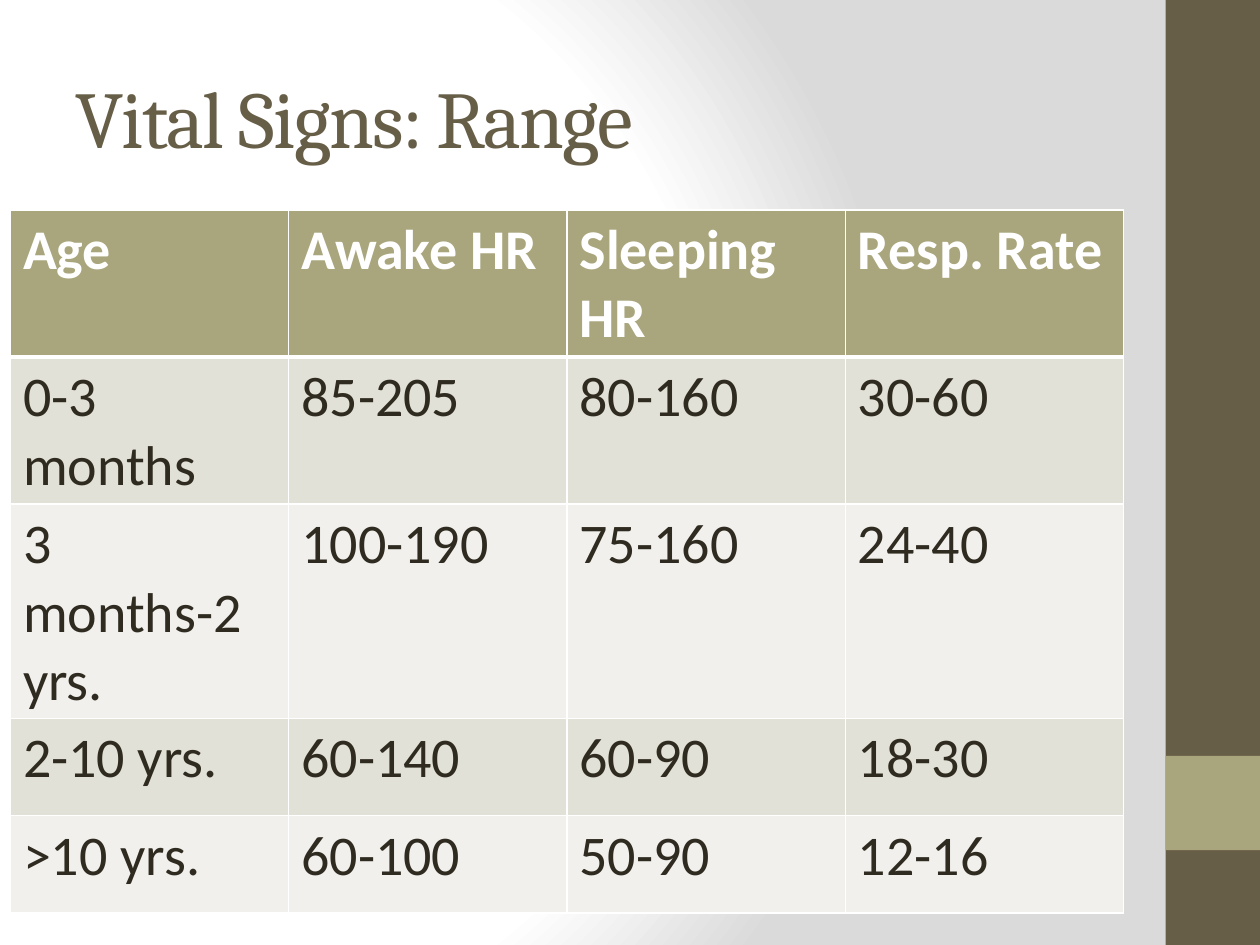
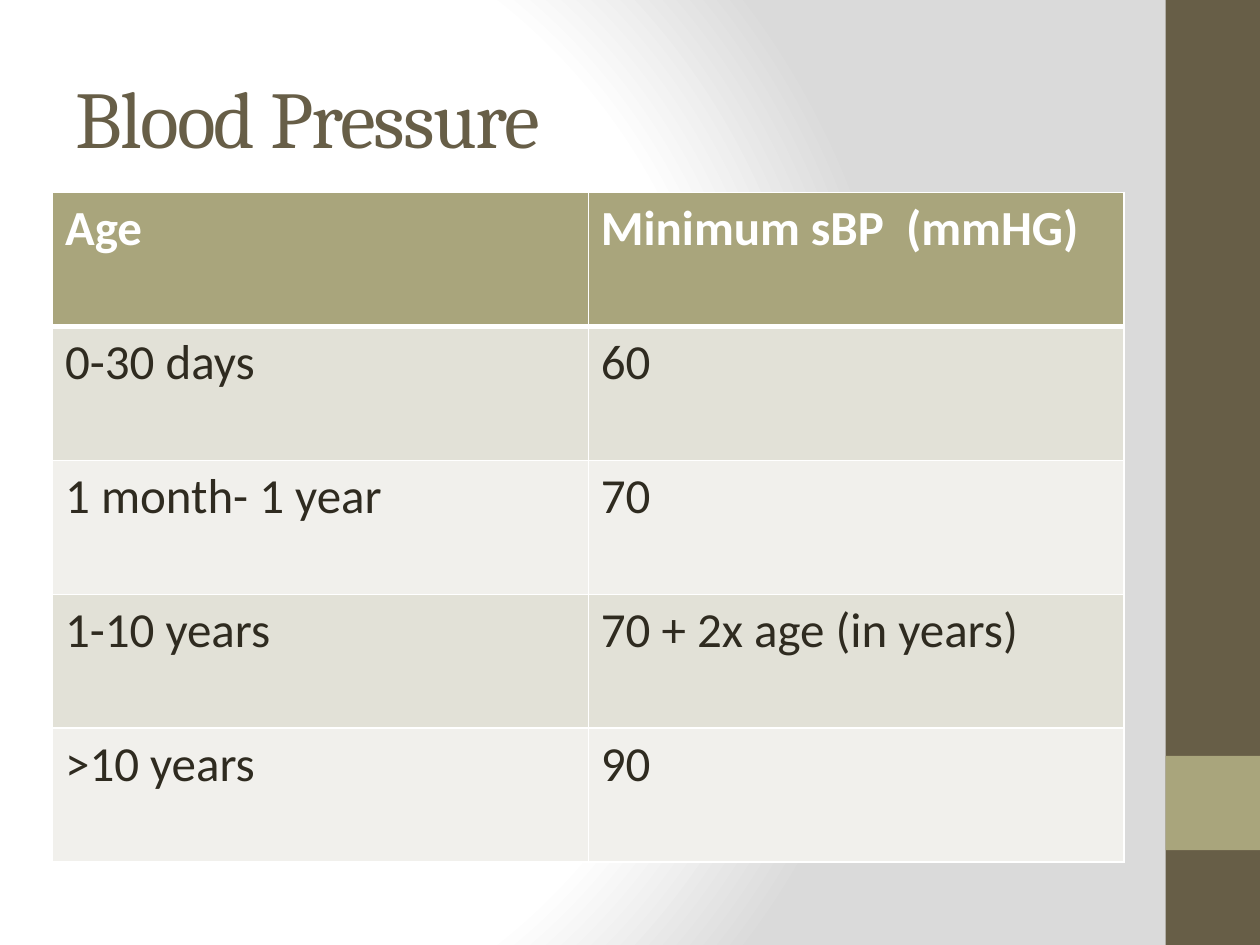
from dataclasses import dataclass

import pptx
import pptx.dml.color
import pptx.enum.shapes
import pptx.enum.text
import pptx.oxml
import pptx.oxml.ns
import pptx.util

Cm = pptx.util.Cm
Pt = pptx.util.Pt


@dataclass(frozen=True)
class Theme:
    brown: str = "675E47"
    olive: str = "A9A57C"
    ink: str = "2F2B20"
    white: str = "FFFFFF"
    grey: str = "DADADA"
    odd_row: str = "E2E1D7"
    even_row: str = "F1F0EC"
    title_font: str = "Cambria"
    body_font: str = "Calibri"
    title_size: int = 46
    thin: int = 1
    thick: int = 3


THEME = Theme()
NAMESPACE = pptx.oxml.ns.nsdecls("a")

VITAL_SIGNS = [
    ["Age", "Awake HR", "Sleeping HR", "Resp. Rate"],
    ["0-3 months", "85-205", "80-160", "30-60"],
    ["3 months-2 yrs.", "100-190", "75-160", "24-40"],
    ["2-10 yrs.", "60-140", "60-90", "18-30"],
    [">10 yrs.", "60-100", "50-90", "12-16"],
]

BLOOD_PRESSURE = [
    ["Age", "Minimum sBP  (mmHG)"],
    ["0-30 days", "60"],
    ["1 month- 1 year", "70"],
    ["1-10 years", "70 + 2x age (in years)"],
    [">10 years", "90"],
]


def rgb(color):
    return pptx.dml.color.RGBColor.from_string(color)


def set_background(master):
    master.background.fill.solid()
    properties = master._element.find(".//" + pptx.oxml.ns.qn("p:bgPr"))
    stops = "".join(
        f'<a:gs pos="{position * 1000}"><a:srgbClr val="{color}"/></a:gs>'
        for position, color in [(0, THEME.white), (75, THEME.white), (100, THEME.grey)]
    )
    gradient = pptx.oxml.parse_xml(
        f'<a:gradFill {NAMESPACE} rotWithShape="1"><a:gsLst>{stops}</a:gsLst>'
        '<a:path path="circle">'
        '<a:fillToRect l="20000" t="50000" r="100000" b="50000"/>'
        "</a:path></a:gradFill>"
    )
    properties.replace(properties[0], gradient)


def add_band(page, top, height, color):
    band = page.shapes.add_shape(
        pptx.enum.shapes.MSO_SHAPE.RECTANGLE, Cm(23.5), Cm(top), Cm(1.9), Cm(height)
    )
    band.shadow.inherit = False
    band.fill.solid()
    band.fill.fore_color.rgb = rgb(color)
    band.line.fill.background()


def style_text(paragraph, font, size, color, bold=False):
    paragraph.font.name = font
    paragraph.font.size = Pt(size)
    paragraph.font.color.rgb = rgb(color)
    paragraph.font.bold = bold


def add_title(page, text):
    box = page.shapes.add_textbox(Cm(1.27), Cm(0.76), Cm(21.16), Cm(3.18))
    frame = box.text_frame
    frame.word_wrap = True
    frame.vertical_anchor = pptx.enum.text.MSO_ANCHOR.MIDDLE
    paragraph = frame.paragraphs[0]
    span = paragraph.add_run()
    span.text = text
    span._r.get_or_add_rPr().set("spc", "-100")
    style_text(paragraph, THEME.title_font, THEME.title_size, THEME.brown)


def set_borders(cell, top, bottom):
    properties = cell._tc.get_or_add_tcPr()
    widths = {"lnL": THEME.thin, "lnR": THEME.thin, "lnT": top, "lnB": bottom}
    for index, (side, width) in enumerate(widths.items()):
        line = pptx.oxml.parse_xml(
            f'<a:{side} {NAMESPACE} w="{Pt(width)}"><a:solidFill>'
            f'<a:srgbClr val="{THEME.white}"/></a:solidFill></a:{side}>'
        )
        properties.insert(index, line)


def style_cell(cell, row, size):
    header = row == 0
    band = THEME.odd_row if row % 2 else THEME.even_row
    cell.fill.solid()
    cell.fill.fore_color.rgb = rgb(THEME.olive if header else band)
    style_text(
        cell.text_frame.paragraphs[0],
        THEME.body_font,
        size,
        THEME.white if header else THEME.ink,
        bold=header,
    )
    set_borders(
        cell,
        top=THEME.thick if row == 1 else THEME.thin,
        bottom=THEME.thick if header else THEME.thin,
    )


def add_data_table(page, values, left, top, column_width, row_heights, size):
    columns = len(values[0])
    table = page.shapes.add_table(
        len(values), columns, Cm(left), Cm(top),
        Cm(column_width * columns), Cm(sum(row_heights)),
    ).table
    for column in table.columns:
        column.width = Cm(column_width)
    for row, (texts, height) in enumerate(zip(values, row_heights)):
        table.rows[row].height = Cm(height)
        for column, text in enumerate(texts):
            cell = table.cell(row, column)
            cell.text = text
            style_cell(cell, row, size)


def add_page(deck, title):
    page = deck.slides.add_slide(deck.slide_layouts[6])
    add_band(page, 0, 19.05, THEME.brown)
    add_band(page, 15.24, 1.9, THEME.olive)
    add_title(page, title)
    return page


def main():
    deck = pptx.Presentation()
    deck.slide_width = Cm(25.4)
    deck.slide_height = Cm(19.05)
    set_background(deck.slide_master)

    page = add_page(deck, "Vital Signs: Range")
    add_data_table(
        page, VITAL_SIGNS, left=0.21, top=4.23, column_width=5.61,
        row_heights=[1.96, 1.96, 3.38, 1.96, 1.96], size=32,
    )

    page = add_page(deck, "Blood Pressure")
    add_data_table(
        page, BLOOD_PRESSURE, left=1.06, top=3.88, column_width=10.8,
        row_heights=[2.7] * 5, size=28,
    )

    deck.save("out.pptx")


main()
